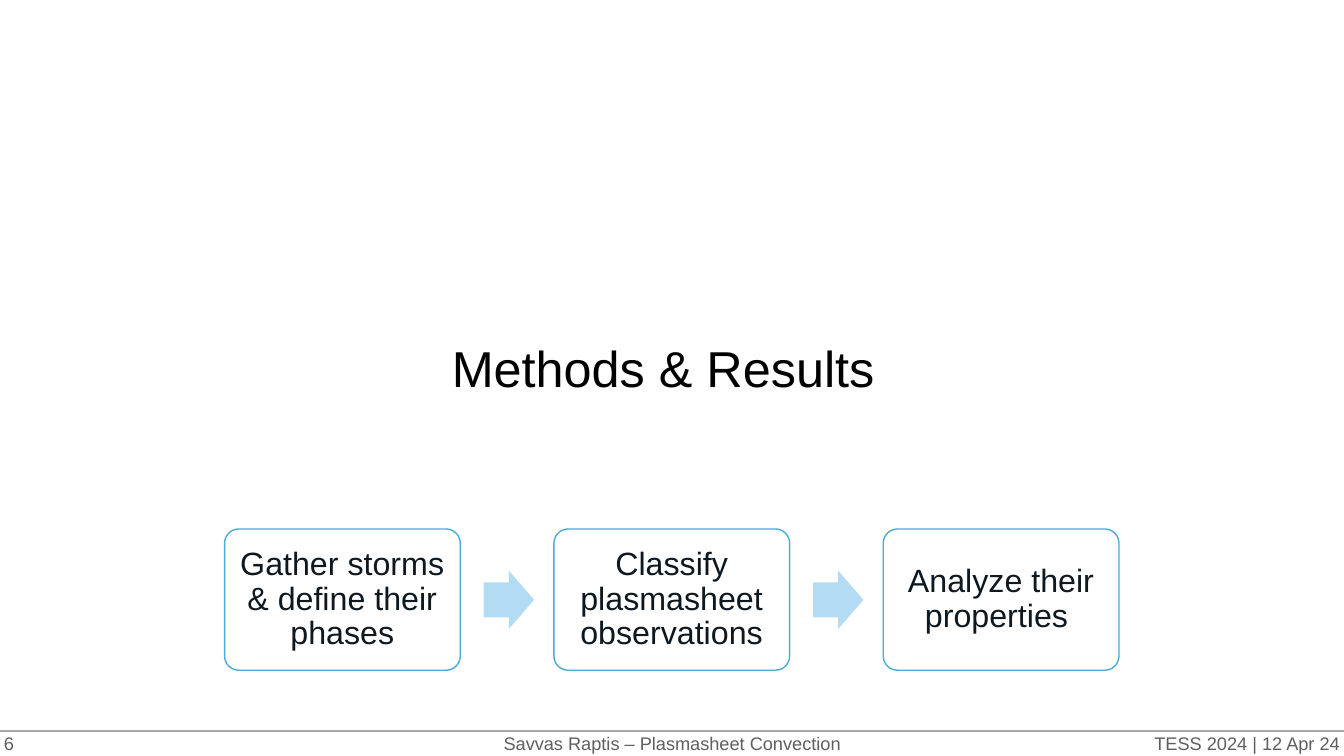
import pptx
import pptx.dml.color
import pptx.enum.shapes
import pptx.enum.text
import pptx.oxml.ns
import pptx.util
from lxml import etree
from pptx.util import Cm

SHAPE = pptx.enum.shapes.MSO_SHAPE
ALIGN = pptx.enum.text.PP_ALIGN
WIDTH, HEIGHT = 33.87, 19.05


def color(value):
    return pptx.dml.color.RGBColor.from_string(value)


class Deck:
    """Hold the slide style and draw each kind of element on the current slide."""

    font = "Arial"
    ink, black, grey = "0E1820", "000000", "5F5F5F"
    outline, arrow_fill, rule = "4AACD6", "B3DBF4", "A6A6A6"

    def __init__(self):
        self.prs = pptx.Presentation()
        self.prs.slide_width, self.prs.slide_height = Cm(WIDTH), Cm(HEIGHT)
        self.s = self.prs.slides.add_slide(self.prs.slide_layouts[6])

    def set_text(self, sp, text, size, fill, align, inset):
        tf = sp.text_frame
        tf.word_wrap = True
        tf.vertical_anchor = pptx.enum.text.MSO_ANCHOR.MIDDLE
        tf.margin_left = tf.margin_right = Cm(inset)
        tf.margin_top = tf.margin_bottom = Cm(inset)
        p = tf.paragraphs[0]
        p.text = text
        p.alignment = align
        p.font.name = self.font
        p.font.size = pptx.util.Pt(size)
        p.font.color.rgb = color(fill)
        return p

    def text(self, box, text, size, fill, align, inset=0):
        sp = self.s.shapes.add_textbox(*map(Cm, box))
        self.set_text(sp, text, size, fill, align, inset)

    def shape(self, kind, box, fill, adjustments):
        sp = self.s.shapes.add_shape(kind, *map(Cm, box))
        sp.shadow.inherit = False
        sp.fill.solid()
        sp.fill.fore_color.rgb = color(fill)
        sp.line.fill.background()
        for i, value in enumerate(adjustments):
            sp.adjustments[i] = value
        return sp

    def step(self, box, text):
        sp = self.shape(SHAPE.ROUNDED_RECTANGLE, box, "FFFFFF", [0.1])
        sp.line.color.rgb = color(self.outline)
        sp.line.width = pptx.util.Pt(1)
        p = self.set_text(sp, text, 23, self.ink, ALIGN.CENTER, 0.25)
        p.line_spacing = 0.9

    def arrow(self, box):
        self.shape(SHAPE.RIGHT_ARROW, box, self.arrow_fill, [0.6, 0.5])

    def line(self, y):
        straight = pptx.enum.shapes.MSO_CONNECTOR.STRAIGHT
        sp = self.s.shapes.add_connector(straight, 0, Cm(y), Cm(WIDTH), Cm(y))
        sp.line.color.rgb = color(self.rule)
        sp.line.width = pptx.util.Pt(0.75)
        etree.SubElement(sp._element.spPr, pptx.oxml.ns.qn("a:effectLst"))


def main():
    deck = Deck()
    footer_top, footer_height = 18.42, 0.63
    footers = [
        (0, WIDTH, "Savvas Raptis – Plasmasheet Convection", ALIGN.CENTER),
        (23.09, 10.67, "TESS 2024 | 12 Apr 24", ALIGN.RIGHT),
        (0.1, 10.67, "6", ALIGN.LEFT),
    ]
    for left, width, text, align in footers:
        deck.text((left, footer_top, width, footer_height), text, 13, deck.grey, align)
    deck.line(footer_top)
    deck.text((1.17, 0, 31.09, 18.49), "Methods & Results", 36, deck.black, ALIGN.CENTER, 0.13)

    steps = [
        "Gather storms & define their phases",
        "Classify plasmasheet observations",
        "Analyze their properties ",
    ]
    first, pitch = 5.66, 8.3
    for i, text in enumerate(steps):
        left = first + i * pitch
        deck.step((left, 13.33, 5.94, 3.56), text)
        if i < len(steps) - 1:
            deck.arrow((left + 6.53, 14.38, 1.27, 1.47))
    deck.prs.save("out.pptx")


if __name__ == "__main__":
    main()
